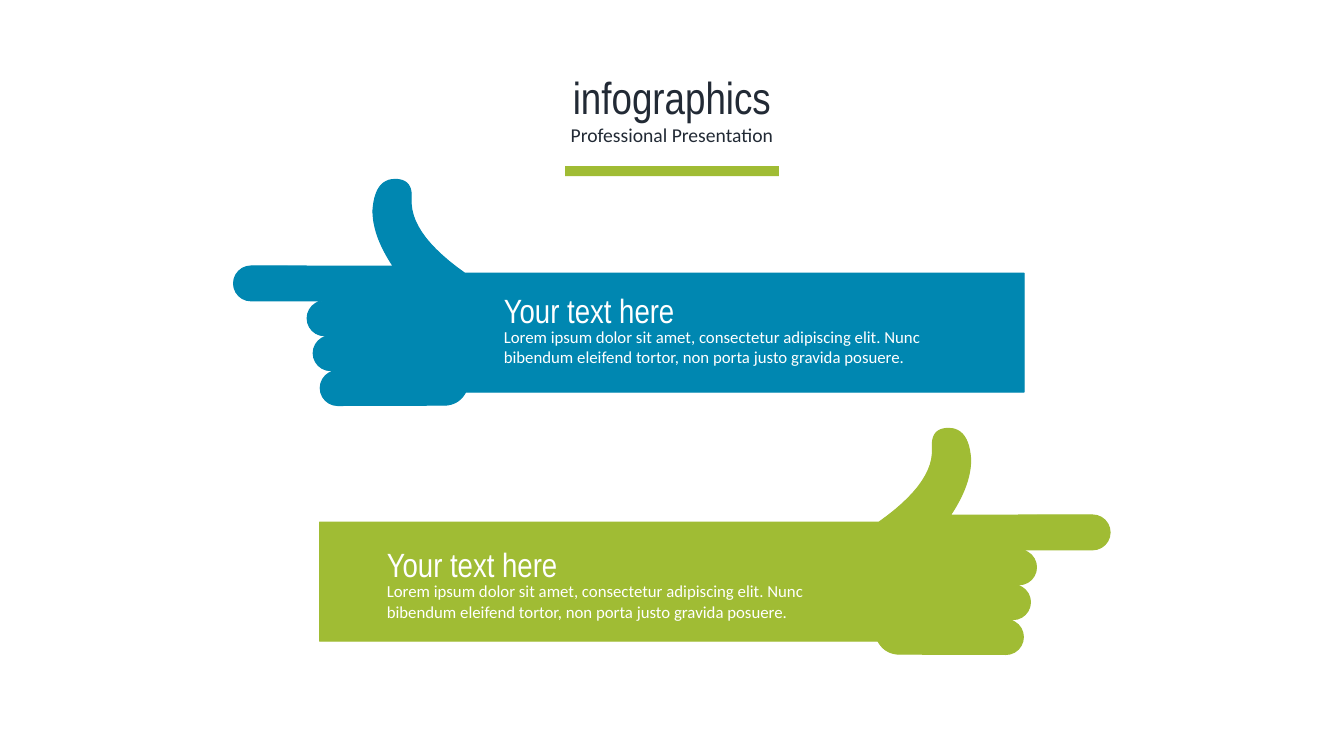
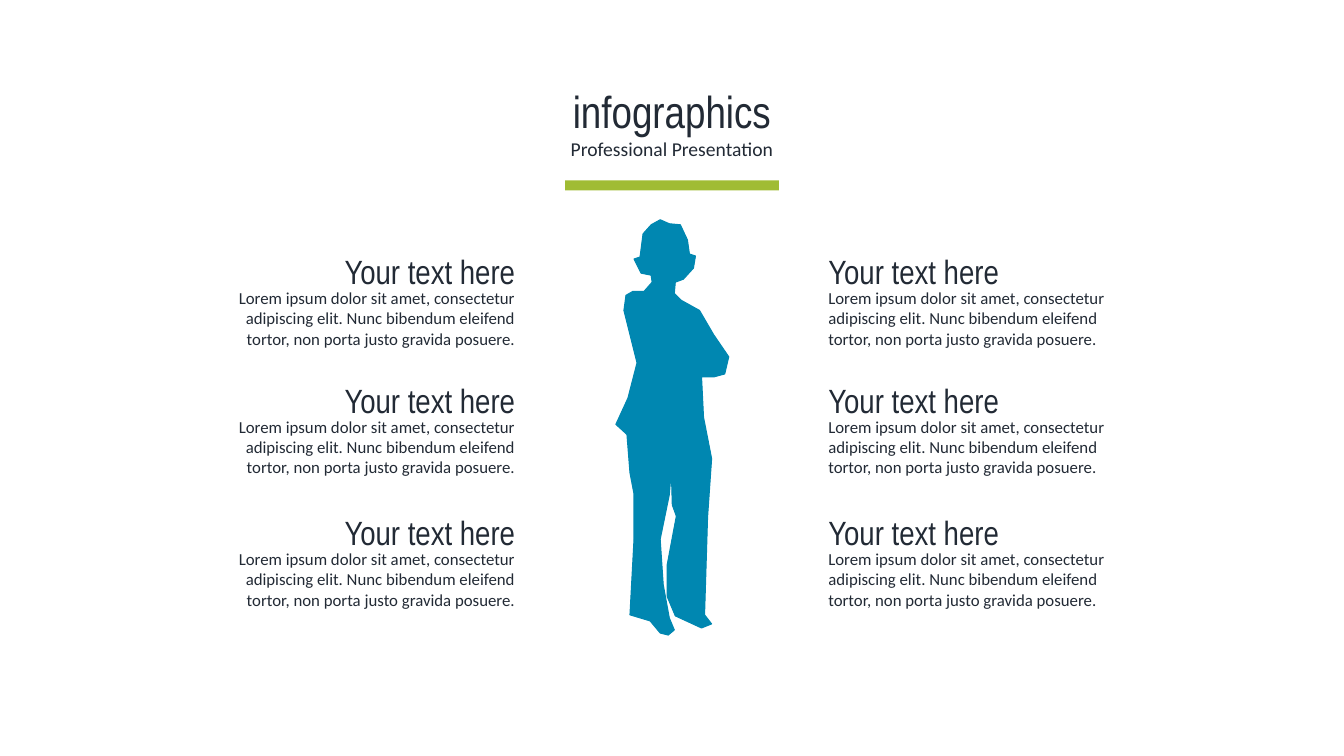
from dataclasses import dataclass
from math import cos, pi, sin

from pptx import Presentation
from pptx.dml.color import RGBColor
from pptx.enum.shapes import MSO_SHAPE
from pptx.enum.text import MSO_ANCHOR, MSO_AUTO_SIZE, PP_ALIGN
from pptx.util import Pt

RECTANGLE = MSO_SHAPE.RECTANGLE
TOP = MSO_ANCHOR.TOP
NO_AUTOFIT = MSO_AUTO_SIZE.NONE
LEFT, CENTER, RIGHT = PP_ALIGN.LEFT, PP_ALIGN.CENTER, PP_ALIGN.RIGHT


@dataclass(frozen=True)
class Theme:
    blue: RGBColor = RGBColor.from_string("0087B1")
    green: RGBColor = RGBColor.from_string("A0BC34")
    ink: RGBColor = RGBColor.from_string("222A35")
    white: RGBColor = RGBColor.from_string("FFFFFF")
    heading_font: str = "Arial Narrow"
    body_font: str = "Calibri"
    title_size: int = 32
    subtitle_size: int = 14
    heading_size: int = 24
    body_size: int = 12


THEME = Theme()

SLIDE_WIDTH, SLIDE_HEIGHT = 960, 540
HEADING = "Your text here"
BODY = ("Lorem ipsum dolor sit amet, consectetur adipiscing elit. "
        "Nunc bibendum eleifend tortor, non porta justo gravida posuere.")

# Outlines are drawn on a grid of 0.72 pt squares that covers the slide
GRID = Pt(0.72)
GRID_WIDTH = 1333
HAND_DROP = 247
CURVE_STEPS = 12

STANDING_WOMAN = [
    # head, right side
    (655, 218), (664, 222), (675, 223), (682, 238), (684, 252), (690, 254),
    (688, 266), (678, 277), (670, 280), (669, 291),
    # folded arm
    (676, 298), (694, 308), (708, 332), (723, 354), (719, 371), (708, 374),
    (696, 374),
    # right leg and shoe
    (698, 414), (706, 455), (702, 513), (699, 610), (706, 619), (696, 623),
    (670, 611), (662, 592),
    # inner legs
    (662, 560), (671, 512), (667, 501), (666, 467), (664, 491), (655, 535),
    (658, 580), (664, 613),
    # left shoe and leg
    (669, 625), (663, 630), (655, 628), (645, 616), (625, 610), (629, 535),
    (629, 490), (625, 469), (622, 431), (611, 421),
    # jacket and left arm
    (623, 395), (632, 360), (619, 308), (621, 293), (628, 289), (639, 289),
    (647, 280), (646, 273),
    # head, left side
    (636, 271), (629, 257), (635, 255), (638, 232), (646, 223),
]


# Outlines
def curve(start, control, end):
    """Points along a quadratic curve."""
    points = []
    for step in range(CURVE_STEPS + 1):
        t = step / CURVE_STEPS
        points.append(tuple((1 - t) ** 2 * a + 2 * t * (1 - t) * b + t * t * c
                            for a, b, c in zip(start, control, end)))
    return points


def fingertip(x, y, radius):
    """Half circle open to the right, from its bottom to its top."""
    angles = [pi / 2 + pi * step / CURVE_STEPS
              for step in range(CURVE_STEPS + 1)]
    return [(x + radius * cos(a), y + radius * sin(a)) for a in angles]


def pointing_hand():
    tip, side = (392, 178), (370, 209)
    outline = curve(tip, (408, 178), (408, 194))
    outline += curve((408, 203), (410, 235), (461, 271))
    outline += [(1016, 271), (1016, 389)]
    outline += curve((462, 389), (455, 402), (440, 402))
    finger_radius = 17.3
    for row, x in enumerate((335, 328, 322, 249)):
        outline += fingertip(x, 385 - 2 * finger_radius * row, finger_radius)
    outline += curve((390, 264), (370, 234), side)
    return outline + curve(side, (372, 178), tip)


# Text
def write_line(holder, words, font_name, size, color, align):
    frame = holder.text_frame
    frame.word_wrap = True
    frame.auto_size = NO_AUTOFIT
    frame.vertical_anchor = TOP
    frame.margin_left = frame.margin_right = Pt(7.2)
    frame.margin_top = frame.margin_bottom = Pt(3.6)
    frame.text = words
    paragraph = frame.paragraphs[0]
    paragraph.alignment = align
    paragraph.space_before = Pt(0)
    paragraph.font.name = font_name
    paragraph.font.size = Pt(size)
    paragraph.font.color.rgb = color


def add_callout(slide, left, top, width, body_height, color, align=LEFT):
    heading = slide.shapes.add_textbox(Pt(left), Pt(top), Pt(width), Pt(36))
    write_line(heading, HEADING, THEME.heading_font, THEME.heading_size,
               color, align)
    body = slide.shapes.add_textbox(Pt(left), Pt(top + 26.3), Pt(width),
                                    Pt(body_height))
    write_line(body, BODY, THEME.body_font, THEME.body_size, color, align)


# Shapes
def place(holder, left, top, width, height):
    holder.left, holder.top = Pt(left), Pt(top)
    holder.width, holder.height = Pt(width), Pt(height)


def add_silhouette(slide, outline, color):
    points = [(x * GRID, y * GRID) for x, y in outline]
    builder = slide.shapes.build_freeform(*points[0])
    builder.add_line_segments(points[1:], close=True)
    silhouette = builder.convert_to_shape()
    silhouette.shadow.inherit = False
    silhouette.fill.solid()
    silhouette.fill.fore_color.rgb = color
    silhouette.line.color.rgb = color
    silhouette.line.width = Pt(0)


# Shared heading: title, subtitle and accent bar
def add_titled_slide(deck, top):
    slide = deck.slides.add_slide(deck.slide_layouts[0])
    title, subtitle = slide.shapes.title, slide.placeholders[1]
    place(title, 0, top, SLIDE_WIDTH, 46)
    write_line(title, "infographics", THEME.heading_font, THEME.title_size,
               THEME.ink, CENTER)
    place(subtitle, 49, top + 38.2, 862, 24.5)
    write_line(subtitle, "Professional Presentation", THEME.body_font,
               THEME.subtitle_size, THEME.ink, CENTER)
    bar_width = 152.6
    bar = slide.shapes.add_shape(RECTANGLE, Pt((SLIDE_WIDTH - bar_width) / 2),
                                 Pt(top + 72.7), Pt(bar_width), Pt(7.2))
    bar.shadow.inherit = False
    bar.fill.solid()
    bar.fill.fore_color.rgb = THEME.green
    bar.line.fill.background()
    return slide


def build_hands_slide(deck):
    slide = add_titled_slide(deck, 46)
    hand = pointing_hand()
    mirrored_hand = [(GRID_WIDTH - x, y + HAND_DROP) for x, y in hand]
    add_silhouette(slide, hand, THEME.blue)
    add_silhouette(slide, mirrored_hand, THEME.green)
    for left, top in ((352.8, 203.6), (269.2, 385.3)):
        add_callout(slide, left, top, 330, 36, THEME.white)


def build_woman_slide(deck):
    slide = add_titled_slide(deck, 56.2)
    add_silhouette(slide, STANDING_WOMAN, THEME.blue)
    for top in (175.9, 267.9, 362.3):
        for left, align in ((144, RIGHT), (584.6, LEFT)):
            add_callout(slide, left, top, 231, 51, THEME.ink, align)


def main():
    deck = Presentation()
    deck.slide_width, deck.slide_height = Pt(SLIDE_WIDTH), Pt(SLIDE_HEIGHT)
    build_hands_slide(deck)
    build_woman_slide(deck)
    deck.save("out.pptx")


if __name__ == "__main__":
    main()
